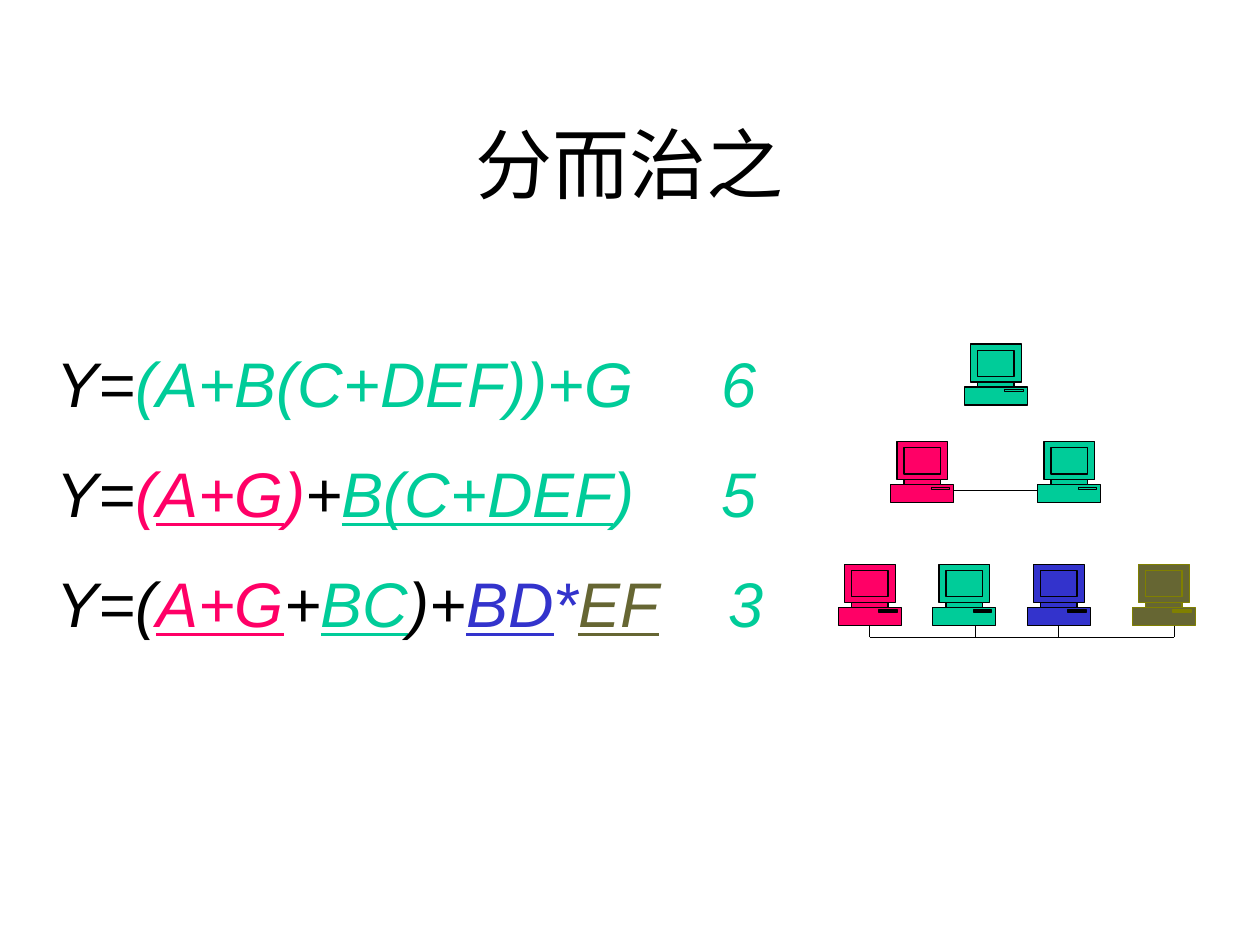
"""Build the divide-and-conquer slide: three expressions and the computers that share their work."""
from copy import deepcopy
from dataclasses import dataclass

from lxml import etree
from pptx import Presentation
from pptx import util as u
from pptx.dml.color import RGBColor
from pptx.enum import shapes, text
from pptx.oxml.ns import qn

Pt = u.Pt


@dataclass(frozen=True)
class Theme:
    black: str = "000000"
    green: str = "00CC99"
    pink: str = "FF0066"
    blue: str = "3333CC"
    olive: str = "666633"
    olive_line: str = "808000"
    title_font: str = "Times New Roman"
    body_font: str = "Arial"
    title_size: float = 44
    body_size: float = 36
    line_width: float = 0.75


T = Theme()

COMPUTER = [
    [(28.5, 24.7), (28.5, 21.8), (32.6, 21.8), (32.6, 0), (3.6, 0), (3.6, 21.8),
     (7.6, 21.8), (7.6, 24.7), (0, 24.7), (0, 35), (36, 35), (36, 24.7)],
    [(7.6, 24.7), (7.6, 21.8), (28.5, 21.8), (28.5, 24.7)],
    [(7.6, 18.5), (7.6, 3.6), (28.5, 3.6), (28.5, 18.5)],
    [(23.2, 27.4), (23.2, 26.2), (33.8, 26.2), (33.8, 27.4)],
]


def add_computer(s, left, top, fill, line):
    contours = [[(Pt(x), Pt(y)) for x, y in c] for c in COMPUTER]
    fb = s.shapes.build_freeform(*contours[0][0])
    fb.add_line_segments(contours[0][1:])
    for contour in contours[1:]:
        fb.move_to(*contour[0])
        fb.add_line_segments(contour[1:])
    sp = fb.convert_to_shape(Pt(left), Pt(top))
    sp.shadow.inherit = False
    sp.fill.solid()
    sp.fill.fore_color.rgb = RGBColor.from_string(fill)
    sp.line.color.rgb = RGBColor.from_string(line)
    sp.line.width = Pt(T.line_width)

    whole = next(sp._element.iter(qn("a:path")))
    steps = list(whole)
    starts = [i for i, step in enumerate(steps) if step.tag == qn("a:moveTo")]
    for begin, end in zip(starts, starts[1:] + [len(steps)]):
        part = etree.SubElement(whole.getparent(), qn("a:path"), dict(whole.attrib))
        part.extend(deepcopy(step) for step in steps[begin:end])
    whole.getparent().remove(whole)


def add_wire(s, x1, y1, x2, y2):
    wire = s.shapes.add_connector(shapes.MSO_CONNECTOR.STRAIGHT, Pt(x1), Pt(y1), Pt(x2), Pt(y2))
    wire.line.color.rgb = RGBColor.from_string(T.black)
    wire.line.width = Pt(T.line_width)
    etree.SubElement(wire._element.spPr, qn("a:effectLst"))


prs = Presentation()
prs.slide_width, prs.slide_height = Pt(720), Pt(540)
s = prs.slides.add_slide(prs.slide_layouts[6])

tf = s.shapes.add_textbox(Pt(54), Pt(48), Pt(612), Pt(90)).text_frame
tf.word_wrap = True
tf.vertical_anchor = text.MSO_ANCHOR.MIDDLE
tf.text = "分而治之"
p = tf.paragraphs[0]
p.alignment = text.PP_ALIGN.CENTER
r = p.runs[0]
r.font.size = Pt(T.title_size)
r.font.name = T.title_font
r.font.color.rgb = RGBColor.from_string(T.black)

expressions = [
    (380, [("Y=", T.black, False), ("(A+B(C+DEF))+G\t6", T.green, False)]),
    (380, [("Y=", T.black, False), ("(", T.pink, False), ("A+G", T.pink, True),
           (")", T.pink, False), ("+", T.black, False), ("B(C+DEF", T.green, True),
           (")\t5", T.green, False)]),
    (384, [("Y=(", T.black, False), ("A+G", T.pink, True), ("+", T.black, False),
           ("BC", T.green, True), (")+", T.black, False), ("BD", T.blue, True),
           ("*", T.blue, False), ("EF", T.olive, True), ("\t3", T.green, False)]),
]
tf = s.shapes.add_textbox(Pt(25.2), Pt(191.5), Pt(424), Pt(180)).text_frame
tf.word_wrap = True
tf.vertical_anchor = text.MSO_ANCHOR.MIDDLE
for i, (count_stop, runs) in enumerate(expressions):
    p = tf.add_paragraph() if i else tf.paragraphs[0]
    p.space_before = Pt(19.7 if i else 0)
    tabs = etree.SubElement(p._p.get_or_add_pPr(), qn("a:tabLst"))
    etree.SubElement(tabs, qn("a:tab"), pos=str(Pt(count_stop)), algn="l")
    for words, color, underline in runs:
        r = p.add_run()
        r.text = words
        r.font.size = Pt(T.body_size)
        r.font.name = T.body_font
        r.font.italic = True
        r.font.underline = underline
        r.font.color.rgb = RGBColor.from_string(color)

bus_y = 364.3
stubs = [497, 557.3, 605, 671]
for x in stubs:
    add_wire(s, x, 357.3, x, bus_y)

computers = [
    (551, 196.5, T.green, T.black),
    (593, 252.3, T.green, T.black),
    (509, 252.3, T.pink, T.black),
    (479, 322.4, T.pink, T.black),
    (533, 322.4, T.green, T.black),
    (587, 322.4, T.blue, T.black),
    (647, 322.4, T.olive, T.olive_line),
]
for left, top, fill, line in computers:
    add_computer(s, left, top, fill, line)

add_wire(s, stubs[0], bus_y, stubs[-1], bus_y)
add_wire(s, 545, 280.2, 593, 280.2)

prs.save("out.pptx")
